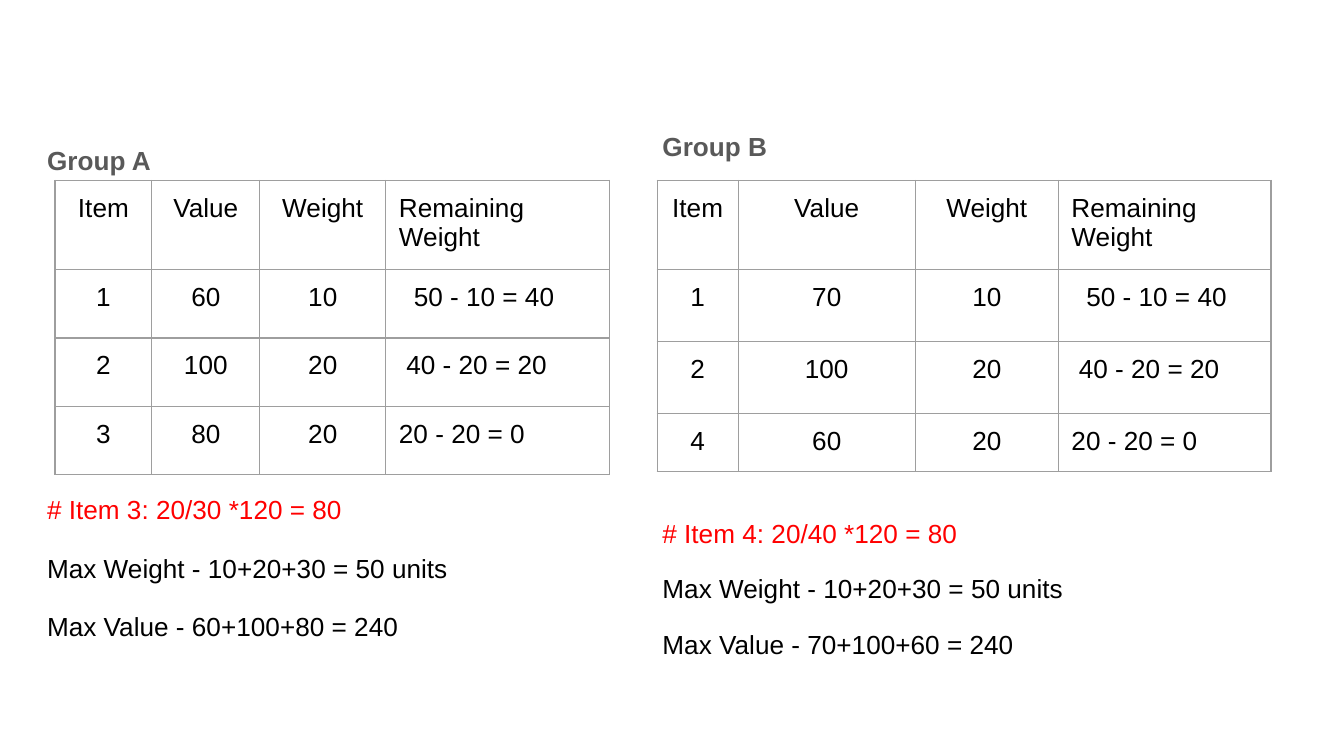
from lxml.etree import SubElement
from pptx import Presentation
from pptx.dml.color import RGBColor
from pptx.enum.text import PP_ALIGN
from pptx.oxml.ns import qn
from pptx.util import Cm, Pt

BLACK = RGBColor(0x00, 0x00, 0x00)
GREY = RGBColor(0x59, 0x59, 0x59)
RED = RGBColor(0xFF, 0x00, 0x00)
LINE = RGBColor(0x9E, 0x9E, 0x9E)
HEAD = ["Item", "Value", "Weight", "Remaining\nWeight"]


class Deck:
    font = "Arial"
    size = Pt(14)
    inset = 0.25
    border = Pt(0.75)

    def __init__(self, wide, high):
        self.prs = Presentation()
        self.prs.slide_width, self.prs.slide_height = Cm(wide), Cm(high)
        self.slide = self.prs.slides.add_slide(self.prs.slide_layouts[6])

    def style(self, para, color, bold=False):
        for run in para.runs:
            run.font.name, run.font.size = self.font, self.size
            run.font.color.rgb, run.font.bold = color, bold

    def pad(self, item, left=inset):
        item.margin_left = Cm(left)
        item.margin_right = item.margin_top = item.margin_bottom = Cm(self.inset)

    def text(self, place, lines, pitch, gap):
        """Heading and notes; gap is the room for the table between them."""
        frame = self.slide.shapes.add_textbox(*map(Cm, place)).text_frame
        frame.word_wrap = True
        self.pad(frame)
        frame.text = "\n".join(lines)
        before = [0, gap, 12, 12]
        colors = [GREY, RED, BLACK, BLACK]
        for i, para in enumerate(frame.paragraphs):
            para.line_spacing = pitch
            para.space_before = Pt(before[i])
            self.style(para, colors[i], bold=i == 0)

    def edge(self, cell):
        props = cell._tc.get_or_add_tcPr()
        for i, side in enumerate(("a:lnL", "a:lnR", "a:lnT", "a:lnB")):
            line = props.makeelement(qn(side), {"w": str(self.border)})
            fill = SubElement(line, qn("a:solidFill"))
            SubElement(fill, qn("a:srgbClr"), val=str(LINE))
            props.insert(i, line)

    def table(self, left, top, cols, rows, data):
        frame = self.slide.shapes.add_table(
            len(rows), len(cols), Cm(left), Cm(top), Cm(sum(cols)), Cm(sum(rows)))
        table = frame.table
        table.first_row = table.horz_banding = False
        for col, wide in zip(table.columns, cols):
            col.width = Cm(wide)
        for row, high in zip(table.rows, rows):
            row.height = Cm(high)
        last = len(cols) - 1
        for r, row in enumerate(data):
            for c, word in enumerate(row):
                cell = table.cell(r, c)
                cell.text = word
                # The sums step back to the left row by row
                step = 0.14 * (len(data) - 1 - r) if c == last and r else 0
                self.pad(cell, self.inset + step)
                cell.fill.background()
                self.edge(cell)
                for para in cell.text_frame.paragraphs:
                    para.alignment = PP_ALIGN.LEFT if c == last else PP_ALIGN.CENTER
                    self.style(para, BLACK)


def main():
    deck = Deck(25.4, 14.29)

    # Headings and notes
    deck.text((0.64, 2.39, 12.06, 11.3), [
        "Group A",
        "# Item 3: 20/30 *120 = 80",
        "Max Weight - 10+20+30 = 50 units",
        "Max Value - 60+100+80 = 240"], 1.15, 168)
    deck.text((12.27, 2.18, 12.27, 10.97), [
        "Group B",
        "# Item 4: 20/40 *120 = 80",
        "Max Weight - 10+20+30 = 50 units",
        "Max Value - 70+100+60 = 240"], 1.05, 190)

    # Item tables
    deck.table(1.04, 3.41, [1.83, 2.04, 2.38, 4.23], [1.63, 1.29, 1.29, 1.29], [
        HEAD,
        ["1", "60", "10", "50 - 10 = 40"],
        ["2", "100", "20", "40 - 20 = 20"],
        ["3", "80", "20", "20 - 20 = 0"]])
    deck.table(12.42, 3.41, [1.53, 3.35, 2.7, 4.02], [1.63, 1.36, 1.36, 1.05], [
        HEAD,
        ["1", "70", "10", "50 - 10 = 40"],
        ["2", "100", "20", "40 - 20 = 20"],
        ["4", "60", "20", "20 - 20 = 0"]])

    deck.prs.save("out.pptx")


if __name__ == "__main__":
    main()
